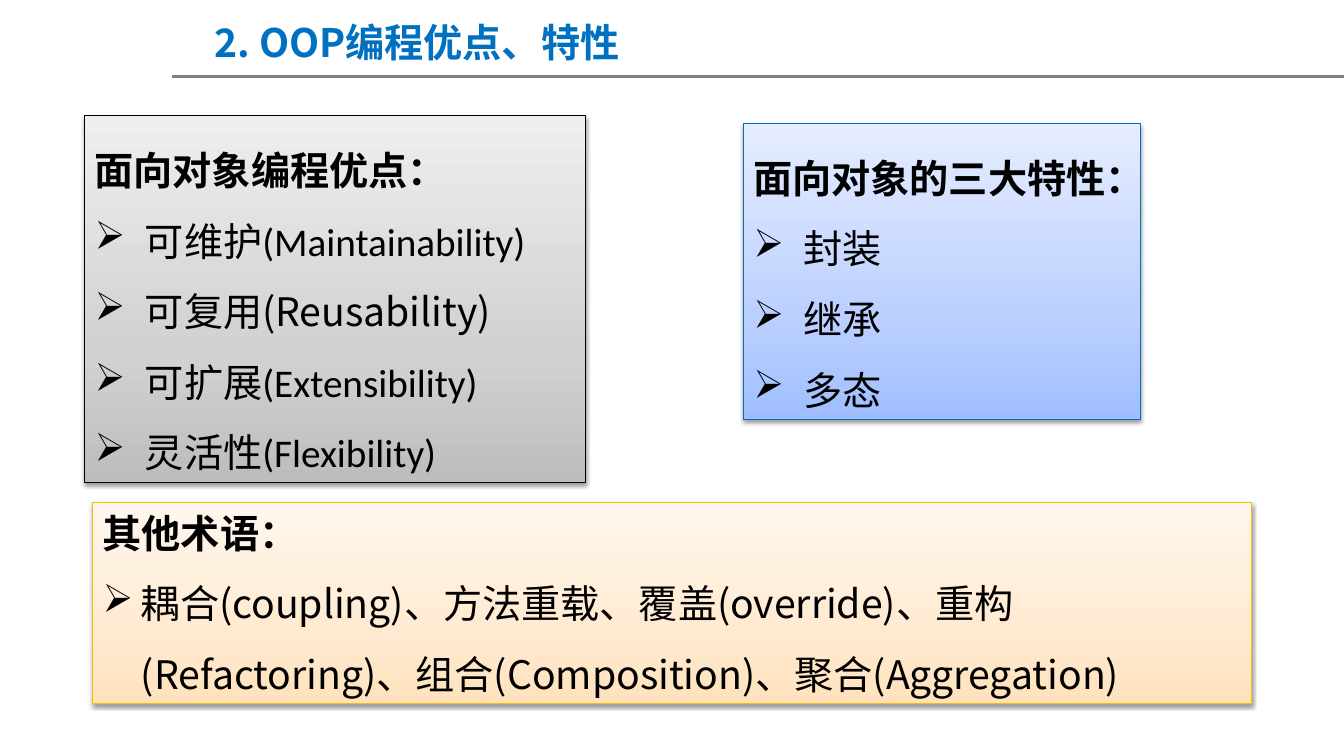
from dataclasses import dataclass

import pptx
import pptx.dml.color
import pptx.enum.lang
import pptx.enum.shapes
import pptx.enum.text
import pptx.oxml
import pptx.oxml.ns
import pptx.util


@dataclass(frozen=True)
class Theme:
    cjk: str = "Noto Sans CJK SC"
    latin: str = "Calibri"
    size: int = 28
    title: str = "0070C0"
    text: str = "000000"
    rule: str = "808080"
    gray: tuple = ("BDBDBD", "D1D1D1", "EEEEEE")
    blue: tuple = ("A0BEFF", "BCD0FF", "E5EDFF")
    orange: tuple = ("FFE2BD", "FFEAD1", "FFF7EE")
    gray_line: str = "000000"
    blue_line: str = "006EBC"
    orange_line: str = "F9BC00"


THEME = Theme()
WIDTH, HEIGHT = 13.34, 7.5

# Areas are left, top, width, height in percent of the slide.
TITLE = ("2. OOP编程优点、特性", (15.22, 1.73, 56.67, 7.6))
RULE_LEFT, RULE_TOP = 12.82, 10.13

# Each bullet is a list of (text, font) runs.
CARDS = [
    dict(area=(55.32, 16.4, 29.54, 39.07), colors=THEME.blue, line=THEME.blue_line,
         heading="面向对象的三大特性：", heading_spacing=1.5, indent=0.5,
         bullets=[[(word, THEME.cjk)] for word in ("封装", "继承", "多态")]),
    dict(area=(6.3, 15.33, 37.26, 48.53), colors=THEME.gray, line=THEME.gray_line,
         heading="面向对象编程优点：", heading_spacing=1.5, indent=0.5,
         bullets=[
             [("可维护", THEME.cjk), ("(Maintainability)", THEME.latin)],
             [("可复用(Reusability)", THEME.cjk)],
             [("可扩展", THEME.cjk), ("(Extensibility)", THEME.latin)],
             [("灵活性", THEME.cjk), ("(Flexibility)", THEME.latin)],
         ]),
    dict(area=(6.9, 66.53, 86.21, 26.53), colors=THEME.orange, line=THEME.orange_line,
         heading="其他术语：", heading_spacing=1, indent=0.38,
         bullets=[[("耦合(coupling)、方法重载、覆盖(override)、重构(Refactoring)、"
                    "组合(Composition)、聚合(Aggregation)", THEME.cjk)]]),
]


def rgb(color):
    return pptx.dml.color.RGBColor.from_string(color)


def across(percent):
    return pptx.util.Inches(WIDTH * percent / 100)


def down(percent):
    return pptx.util.Inches(HEIGHT * percent / 100)


def place(area):
    left, top, width, height = area
    return across(left), down(top), across(width), down(height)


def xml(tag, content="", **attributes):
    """Make a DrawingML element from its tag, inner XML and attributes."""
    pairs = " ".join(f'{name}="{value}"' for name, value in attributes.items())
    return pptx.oxml.parse_xml(
        f'<a:{tag} {pptx.oxml.ns.nsdecls("a")} {pairs}>{content}</a:{tag}>')


def add_run(paragraph, text, font_name=THEME.cjk, color=THEME.text, bold=False):
    run = paragraph.add_run()
    run.text = text
    font = run.font
    font.size = pptx.util.Pt(THEME.size)
    font.bold = bold
    font.color.rgb = rgb(color)
    font.name = font_name
    font.language_id = pptx.enum.lang.MSO_LANGUAGE_ID.SIMPLIFIED_CHINESE
    latin = run._r.rPr.find(pptx.oxml.ns.qn("a:latin"))
    latin.addnext(xml("ea", typeface=THEME.cjk))


def prepare_frame(shape):
    frame = shape.text_frame
    frame.word_wrap = True
    frame.auto_size = pptx.enum.text.MSO_AUTO_SIZE.SHAPE_TO_FIT_TEXT
    return frame


def start_paragraph(paragraph, spacing):
    paragraph.alignment = pptx.enum.text.PP_ALIGN.LEFT
    paragraph.line_spacing = spacing


def add_bullet(frame, runs, indent):
    paragraph = frame.add_paragraph()
    start_paragraph(paragraph, 1.5)
    properties = paragraph._p.get_or_add_pPr()
    margin = pptx.util.Inches(indent)
    properties.set("marL", str(margin))
    properties.set("indent", str(-margin))
    properties.append(xml("buChar", char="➢"))
    for text, font_name in runs:
        add_run(paragraph, text, font_name)


def style_card(shape, colors, line):
    """Give a card its upward gradient, outline and soft shadow below."""
    stops = "".join(
        f'<a:gs pos="{position * 1000}"><a:srgbClr val="{color}"/></a:gs>'
        for position, color in zip((0, 35, 100), colors))
    properties = shape._element.spPr
    geometry = properties.find(pptx.oxml.ns.qn("a:prstGeom"))
    geometry.addnext(xml(
        "gradFill", f'<a:gsLst>{stops}</a:gsLst><a:lin ang="{270 * 60000}" scaled="0"/>',
        rotWithShape=1))
    shape.line.color.rgb = rgb(line)
    shape.line.width = pptx.util.Pt(0.75)
    shape.shadow.inherit = False
    properties.find(pptx.oxml.ns.qn("a:effectLst")).append(xml(
        "outerShdw", '<a:srgbClr val="000000"><a:alpha val="38000"/></a:srgbClr>',
        blurRad=pptx.util.Pt(3.1), dist=pptx.util.Pt(1.6), dir=90 * 60000,
        rotWithShape=0))


def add_card(slide, card):
    shape = slide.shapes.add_shape(
        pptx.enum.shapes.MSO_SHAPE.RECTANGLE, *place(card["area"]))
    style_card(shape, card["colors"], card["line"])
    frame = prepare_frame(shape)
    heading = frame.paragraphs[0]
    start_paragraph(heading, card["heading_spacing"])
    add_run(heading, card["heading"], bold=True)
    for runs in card["bullets"]:
        add_bullet(frame, runs, card["indent"])


def add_title(slide):
    text, area = TITLE
    frame = prepare_frame(slide.shapes.add_textbox(*place(area)))
    add_run(frame.paragraphs[0], text, color=THEME.title, bold=True)


def add_rule(slide):
    rule = slide.shapes.add_connector(
        pptx.enum.shapes.MSO_CONNECTOR.STRAIGHT,
        across(RULE_LEFT), down(RULE_TOP), across(100), down(RULE_TOP))
    rule.line.color.rgb = rgb(THEME.rule)
    rule.line.width = pptx.util.Pt(2)
    rule._element.spPr.append(xml("effectLst"))


def main():
    presentation = pptx.Presentation()
    presentation.slide_width = across(100)
    presentation.slide_height = down(100)
    slide = presentation.slides.add_slide(presentation.slide_layouts[6])
    add_rule(slide)
    add_title(slide)
    for card in CARDS:
        add_card(slide, card)
    presentation.save("out.pptx")


if __name__ == "__main__":
    main()
